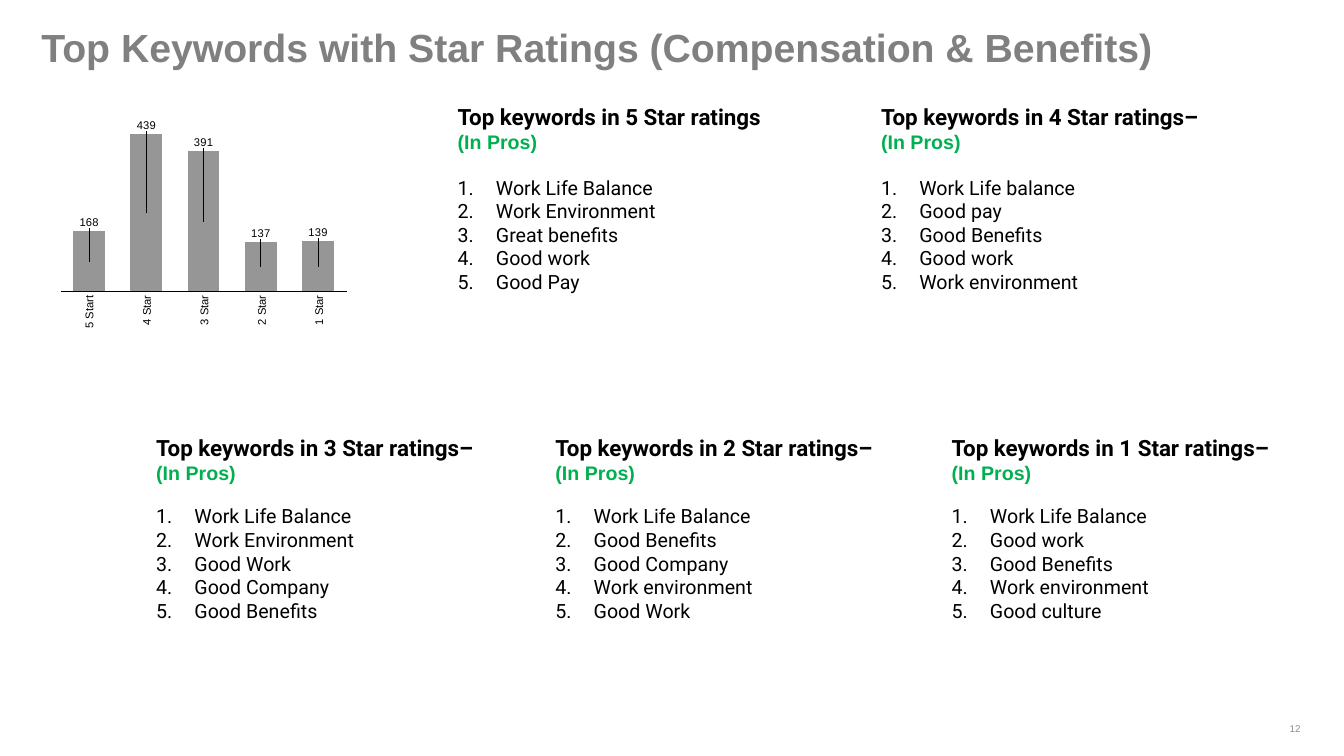
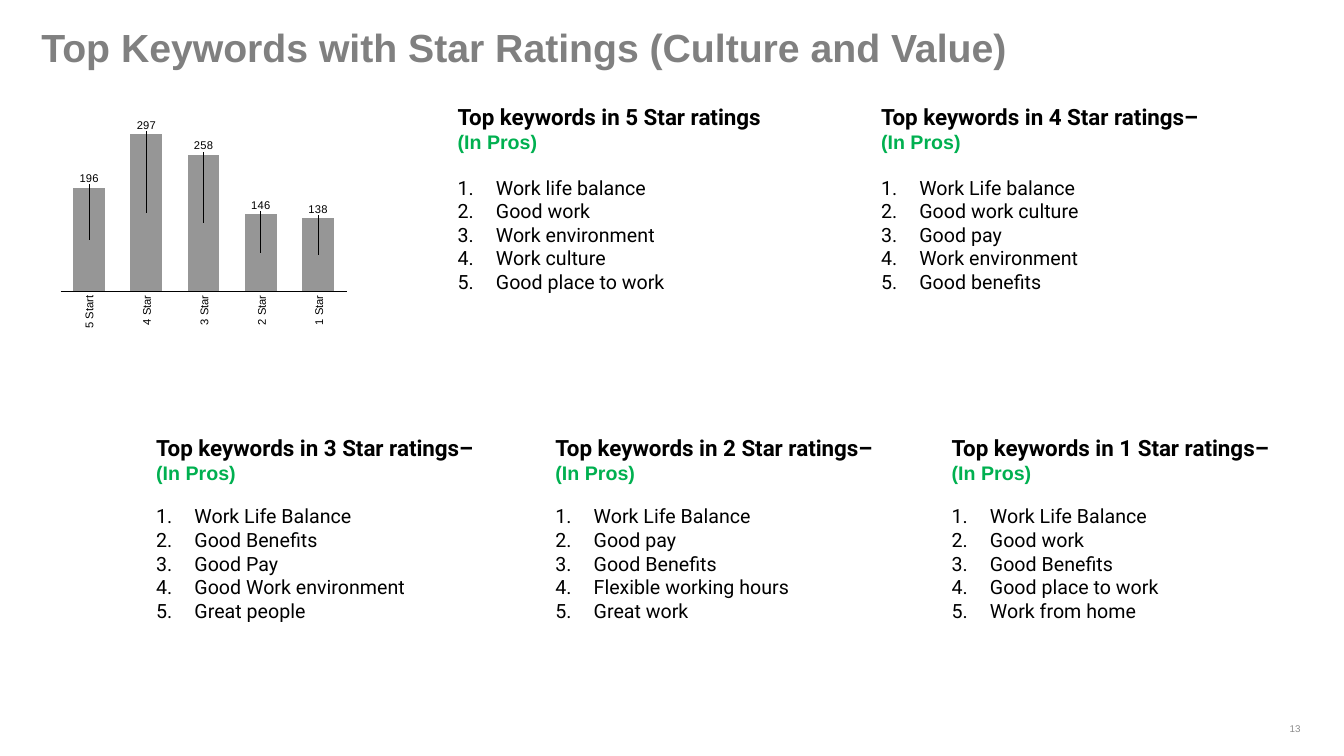
import lxml.etree
import pptx
import pptx.chart.data
import pptx.dml.color
import pptx.enum.chart
import pptx.enum.text
import pptx.oxml.ns
import pptx.util

Inches = pptx.util.Inches
Pt = pptx.util.Pt
RGBColor = pptx.dml.color.RGBColor
Align = pptx.enum.text.PP_ALIGN
Anchor = pptx.enum.text.MSO_ANCHOR
qn = pptx.oxml.ns.qn

TITLE_GRAY = RGBColor(0x80, 0x80, 0x80)
NUMBER_GRAY = RGBColor(0x8C, 0x8C, 0x8C)
BAR_GRAY = RGBColor(0x96, 0x96, 0x96)
GREEN = RGBColor(0x00, 0xB0, 0x50)
BLACK = RGBColor(0, 0, 0)

PLOT_AREA = {"x": 0.03, "y": 0.1, "w": 0.94, "h": 0.85}
LABEL_RISE = 0.05

STARS = ["5 Start", "4 Star", "3 Star", "2 Star", "1 Star"]
BLOCKS = [
    ("Top keywords in 5 Star ratings", 4.44, 0.97, 16),
    ("Top keywords in 4 Star ratings–", 8.64, 0.97, 16),
    ("Top keywords in 3 Star ratings–", 1.45, 4.26, 14),
    ("Top keywords in 2 Star ratings–", 5.41, 4.26, 14),
    ("Top keywords in 1 Star ratings–", 9.34, 4.26, 14),
]
TOPICS = [
    (
        "Compensation & Benefits",
        [168, 439, 391, 137, 139],
        [
            ["Work Life Balance", "Work Environment", "Great benefits", "Good work", "Good Pay"],
            ["Work Life balance", "Good pay", "Good Benefits", "Good work", "Work environment"],
            ["Work Life Balance", "Work Environment", "Good Work", "Good Company", "Good Benefits"],
            ["Work Life Balance", "Good Benefits", "Good Company", "Work environment", "Good Work"],
            ["Work Life Balance", "Good work", "Good Benefits", "Work environment", "Good culture"],
        ],
    ),
    (
        "Culture and Value",
        [196, 297, 258, 146, 138],
        [
            ["Work life balance", "Good work", "Work environment", "Work culture", "Good place to work"],
            ["Work Life balance", "Good work culture", "Good pay", "Work environment", "Good benefits"],
            ["Work Life Balance", "Good Benefits", "Good Pay", "Good Work environment", "Great people"],
            ["Work Life Balance", "Good pay", "Good Benefits", "Flexible working hours", "Great work"],
            ["Work Life Balance", "Good work", "Good Benefits", "Good place to work", "Work from home"],
        ],
    ),
]


def write(frame, text, size=14, font="Arial", color=BLACK, bold=False,
          align=Align.LEFT, line=None, before=0, numbered=False):
    paragraph = frame.paragraphs[0]
    if paragraph.runs:
        paragraph = frame.add_paragraph()
    paragraph.alignment = align
    paragraph.space_before = Pt(before)
    if line:
        paragraph.line_spacing = line
    if numbered:
        properties = paragraph._p.get_or_add_pPr()
        properties.set("marL", str(Inches(0.38)))
        properties.set("indent", str(-Inches(0.38)))
        lxml.etree.SubElement(properties, qn("a:buAutoNum"), type="arabicPeriod")
    run = paragraph.add_run()
    run.text = text
    run.font.name = font
    run.font.size = Pt(size)
    run.font.bold = bold
    run.font.color.rgb = color


def manual_layout(**values):
    layout = lxml.etree.Element(qn("c:layout"))
    manual = lxml.etree.SubElement(layout, qn("c:manualLayout"))
    for tag, value in values.items():
        lxml.etree.SubElement(manual, qn("c:" + tag), val=str(value))
    return layout


class Deck:
    def __init__(self):
        self.presentation = pptx.Presentation()
        self.presentation.slide_width = Inches(13.33)
        self.presentation.slide_height = Inches(7.5)
        self.slide = None

    def frame(self, left, top, width, height, insets=(0.1, 0.05, 0.1, 0.05)):
        box = self.slide.shapes.add_textbox(
            Inches(left), Inches(top), Inches(width), Inches(height))
        frame = box.text_frame
        frame.word_wrap = True
        (frame.margin_left, frame.margin_top,
         frame.margin_right, frame.margin_bottom) = map(Inches, insets)
        return frame

    def new_slide(self, topic, number):
        self.slide = self.presentation.slides.add_slide(self.presentation.slide_layouts[6])
        title = self.frame(0.41, 0.23, 12.42, 0.48, insets=(0, 0.05, 0.1, 0.05))
        write(title, f"Top Keywords with Star Ratings ({topic})",
              size=28, color=TITLE_GRAY, bold=True, line=0.9)
        write(self.frame(12.35, 7.12, 0.99, 0.38), str(number),
              size=7, color=NUMBER_GRAY, align=Align.CENTER)

    def rating_chart(self, counts):
        data = pptx.chart.data.CategoryChartData()
        data.categories = ["1", "2", "3", "4", "5"]
        data.add_series("Series 1", counts)
        chart = self.slide.shapes.add_chart(
            pptx.enum.chart.XL_CHART_TYPE.COLUMN_STACKED,
            Inches(0.51), Inches(1.15), Inches(3.02), Inches(1.83), data).chart
        chart.has_legend = False
        chart.has_title = False
        chart.font.name = "Arial"
        chart.font.size = Pt(8)
        chart.font.color.rgb = BLACK

        counts_axis = chart.value_axis
        counts_axis.visible = False
        counts_axis.has_major_gridlines = False
        counts_axis.minimum_scale = 0
        counts_axis.maximum_scale = max(counts)
        stars_axis = chart.category_axis
        stars_axis.tick_label_position = pptx.enum.chart.XL_TICK_LABEL_POSITION.NONE
        stars_axis.major_tick_mark = pptx.enum.chart.XL_TICK_MARK.NONE
        stars_axis.format.line.color.rgb = BLACK
        stars_axis.format.line.width = Pt(0.75)

        bars = chart.plots[0]
        bars.gap_width = 80
        bars.overlap = 100
        bars.vary_by_categories = False
        ratings = bars.series[0]
        ratings.format.fill.solid()
        ratings.format.fill.fore_color.rgb = BAR_GRAY
        self.raise_labels(ratings, counts)

        plot_area = chart._chartSpace.find(".//" + qn("c:plotArea"))
        for layout in plot_area.findall(qn("c:layout")):
            plot_area.remove(layout)
        plot_area.insert(0, manual_layout(
            layoutTarget="inner", xMode="edge", yMode="edge", **PLOT_AREA))

    def raise_labels(self, ratings, counts):
        ratings.data_labels.show_value = True
        for index in range(len(counts)):
            ratings.points[index].data_label.position = (
                pptx.enum.chart.XL_LABEL_POSITION.CENTER)
        labels = ratings._element.find(qn("c:dLbls"))
        for label, count in zip(labels.findall(qn("c:dLbl")), counts):
            half_bar = PLOT_AREA["h"] * count / max(counts) / 2
            label.insert(1, manual_layout(x=0, y=round(-half_bar - LABEL_RISE, 3)))
        if labels.find(qn("c:showLeaderLines")) is None:
            lxml.etree.SubElement(labels, qn("c:showLeaderLines"), val="1")

    def star_labels(self):
        for index, star in enumerate(STARS):
            frame = self.frame(0.83 + 0.57 * index, 2.93, 0.12, 0.4, insets=(0, 0, 0, 0))
            frame.vertical_anchor = Anchor.MIDDLE
            frame._txBody.bodyPr.set("vert", "vert270")
            write(frame, star, size=8, align=Align.RIGHT, line=0.9)

    def keyword_block(self, heading, left, top, gap, keywords):
        frame = self.frame(left, top, 3.55, 2.22)
        write(frame, heading, size=16, font="Roboto", bold=True)
        write(frame, "(In Pros)", color=GREEN, bold=True)
        for index, keyword in enumerate(keywords):
            write(frame, keyword, font="Roboto", numbered=True,
                  before=0 if index else gap)


def main():
    deck = Deck()
    for number, (topic, counts, keyword_lists) in enumerate(TOPICS, start=12):
        deck.new_slide(topic, number)
        deck.rating_chart(counts)
        deck.star_labels()
        for block, keywords in zip(BLOCKS, keyword_lists):
            deck.keyword_block(*block, keywords)
    deck.presentation.save("out.pptx")


if __name__ == "__main__":
    main()
